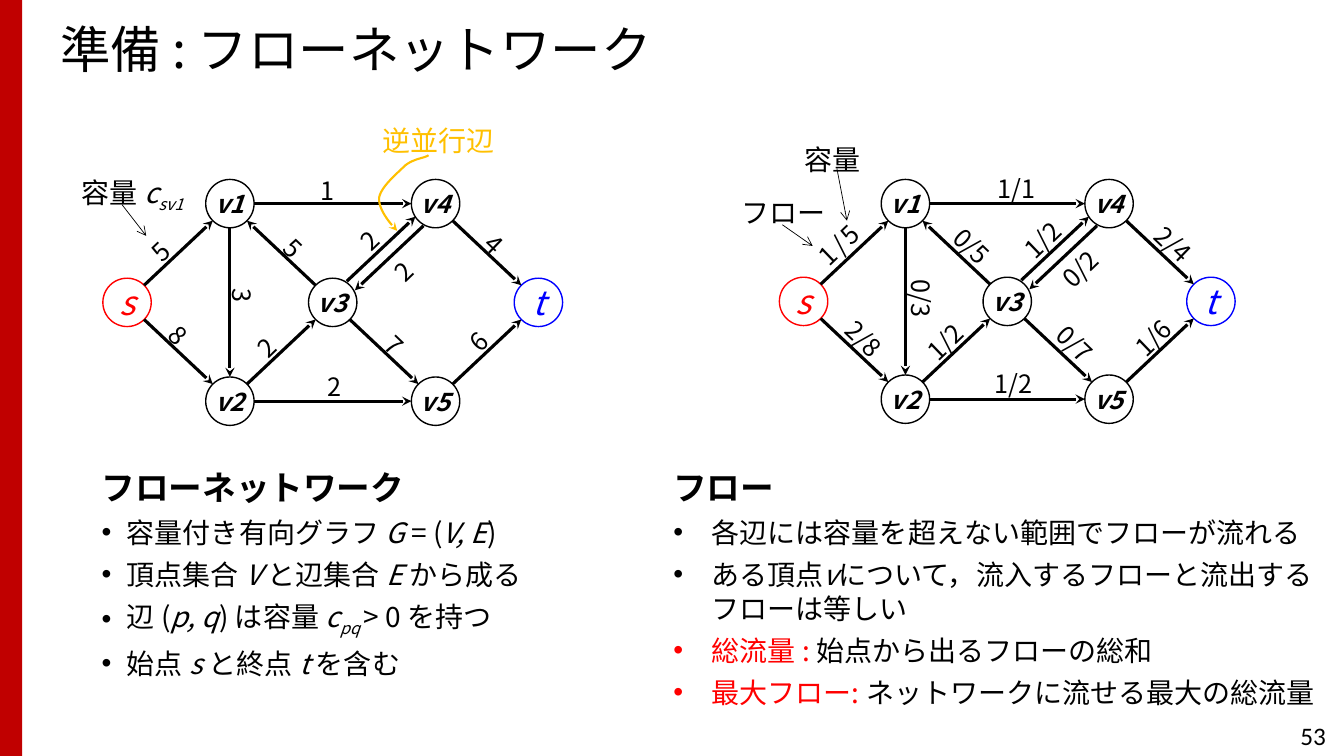
"""Build a slide that introduces flow networks with two example graphs."""
from math import atan, degrees, hypot

from lxml.etree import SubElement
from pptx import Presentation
from pptx.dml.color import RGBColor
from pptx.enum.shapes import MSO_CONNECTOR as Link, MSO_SHAPE as Shape
from pptx.enum.text import MSO_ANCHOR as Anchor, MSO_AUTO_SIZE as AutoSize, PP_ALIGN as Align
from pptx.oxml.ns import qn
from pptx.util import Pt

PX = 9144
FONT = "Noto Sans CJK JP"
BLACK = RGBColor(0, 0, 0)
RED = RGBColor(255, 0, 0)
BLUE = RGBColor(0, 0, 255)
GOLD = RGBColor(255, 192, 0)
CRIMSON = RGBColor(192, 0, 0)

RADIUS = 24
GRID = {"s": (0, 1), "v1": (1, 0), "v2": (1, 2), "v3": (2, 1),
        "v4": (3, 0), "v5": (3, 2), "t": (4, 1)}
TERMINALS = {"s": RED, "t": BLUE}
ANTIPARALLEL = {("v3", "v4"): (-3, -4), ("v4", "v3"): (5, 5)}
ITALIC = {"italic": True}
SUBSCRIPT = {"italic": True, "baseline": -25000}
SMALL = {"size": 11}
HIGHLIGHT = {"color": RED}

CAPACITY_EDGES = [
    ("s", "v1", "5", 159, 249), ("s", "v2", "8", 177, 332),
    ("v1", "v2", "3", 241, 293), ("v2", "v3", "2", 264, 345),
    ("v1", "v4", "1", 325, 189), ("v3", "v4", "2", 367, 238),
    ("v4", "t", "4", 490, 242), ("v5", "t", "6", 475, 339),
    ("v3", "v5", "7", 391, 342), ("v2", "v5", "2", 332, 383),
    ("v3", "v1", "5", 291, 246), ("v4", "v3", "2", 400, 269)]
FLOW_EDGES = [
    ("s", "v1", "1 / 5", 832, 243), ("s", "v2", "2/8", 857, 336),
    ("v1", "v2", "0/3", 914, 296), ("v2", "v3", "1/2", 937, 339),
    ("v1", "v4", "1/1", 1008, 187), ("v3", "v4", "1/2", 1034, 238),
    ("v4", "t", "2/4", 1164, 242), ("v5", "t", "1/6", 1144, 335),
    ("v3", "v5", "0/7", 1066, 341), ("v2", "v5", "1/2", 1005, 380),
    ("v3", "v1", "0/5", 964, 244), ("v4", "v3", "0/2", 1071, 267)]

NETWORK_POINTS = [
    [("容量付き有向グラフ ", {}), ("G", ITALIC), (" = (", {}), ("V, E", ITALIC), (")", {})],
    [("頂点集合 ", {}), ("V ", ITALIC), ("と辺集合 ", {}), ("E ", ITALIC), ("から成る", {})],
    [("辺 (", {}), ("p, q", ITALIC), (") は容量 ", {}), ("c", ITALIC),
     ("pq ", SUBSCRIPT), ("> 0 を持つ", {})],
    [("始点 ", {}), ("s ", ITALIC), ("と終点 ", {}), ("t ", ITALIC), ("を含む", {})]]
FLOW_POINTS = [
    [("各辺には容量を超えない範囲でフローが流れる", {})],
    [("ある頂点", {}), ("v", ITALIC), ("について，流入するフローと流出するフローは等しい", {})],
    [("総流量 : ", HIGHLIGHT), ("始点から出るフローの総和", {})],
    [("最大フロー: ", HIGHLIGHT), ("ネットワークに流せる最大の総流量", {})]]


def px(*lengths):
    """Turn px lengths into EMU."""
    return [round(length * PX) for length in lengths]


def add_run(paragraph, text, size, color=BLACK, bold=False, italic=False, baseline=0, face=FONT):
    """Append one formatted run."""
    run = paragraph.add_run()
    run.text = text
    font = run.font
    font.size, font.bold, font.italic, font.name = Pt(size), bold, italic, face
    font.color.rgb = color
    properties = font._element
    SubElement(properties, qn("a:ea"), typeface=face)
    if baseline:
        properties.set("baseline", str(baseline))


def clear_margins(frame):
    """Remove the inner margins of a text frame."""
    frame.margin_left = frame.margin_right = frame.margin_top = frame.margin_bottom = 0


def add_label(slide, runs, left, top, width, height, size, color=BLACK, align=Align.LEFT, angle=0):
    """Add one unwrapped line of text."""
    label = slide.shapes.add_textbox(*px(left, top, width, height))
    label.rotation = angle
    frame = label.text_frame
    frame.word_wrap = False
    clear_margins(frame)
    frame.paragraphs[0].alignment = align
    for text, style in runs:
        add_run(frame.paragraphs[0], text, **{"size": size, "color": color, **style})


def style_arrow(arrow, color, width, head):
    """Give a line its colour, width and end arrowhead."""
    arrow.line.color.rgb = color
    arrow.line.width = Pt(width)
    SubElement(arrow.line._get_or_add_ln(), qn("a:tailEnd"), type=head)


def add_arrow(slide, start, end, width, head):
    """Add a straight black arrow."""
    arrow = slide.shapes.add_connector(Link.STRAIGHT, *px(*start, *end))
    style_arrow(arrow, BLACK, width, head)
    SubElement(arrow._element.spPr, qn("a:effectLst"))


def add_curve_arrow(slide, start, beziers, color):
    """Add an arrow along a chain of cubic curves."""
    points = [start]
    for first, second, end in beziers:
        origin = points[-1]
        for step in range(1, 13):
            t = step / 12
            weights = ((1 - t) ** 3, 3 * t * (1 - t) ** 2, 3 * t * t * (1 - t), t ** 3)
            points.append(tuple(sum(weight * point[axis] for weight, point
                                    in zip(weights, (origin, first, second, end)))
                                for axis in (0, 1)))
    builder = slide.shapes.build_freeform(*px(*start))
    builder.add_line_segments([px(*point) for point in points[1:]], close=False)
    curve = builder.convert_to_shape()
    curve.fill.background()
    curve.shadow.inherit = False
    style_arrow(curve, color, 1.5, "stealth")


def add_vertex(slide, name, x, y):
    """Add a circled vertex name around a centre."""
    color = TERMINALS.get(name, BLACK)
    inner = name not in TERMINALS
    vertex = slide.shapes.add_shape(
        Shape.OVAL, *px(x - RADIUS, y - RADIUS, 2 * RADIUS, 2 * RADIUS))
    vertex.shadow.inherit = False
    vertex.fill.background()
    vertex.line.color.rgb = color
    vertex.line.width = Pt(1)
    frame = vertex.text_frame
    frame.word_wrap = False
    frame.vertical_anchor = Anchor.MIDDLE
    clear_margins(frame)
    frame.paragraphs[0].alignment = Align.CENTER
    add_run(frame.paragraphs[0], name, 18 if inner else 24, color, bold=inner, italic=True)


def add_edge(slide, start, end, shift):
    """Add an arrow between the rims of two vertices."""
    dx, dy = end[0] - start[0], end[1] - start[1]
    signs = [(delta > 0) - (delta < 0) for delta in (dx, dy)]
    rim = [RADIUS * sign / hypot(*signs) for sign in signs]
    add_arrow(slide, [c + r + s for c, r, s in zip(start, rim, shift)],
              [c - r + s for c, r, s in zip(end, rim, shift)], 2.25, "stealth")
    return degrees(atan(dy / dx)) if dx else 90


def add_graph(slide, left, top, column_step, row_step, edges):
    """Add vertices, edges and edge labels of one graph."""
    centres = {name: (left + column * column_step, top + row * row_step)
               for name, (column, row) in GRID.items()}
    for name, centre in centres.items():
        add_vertex(slide, name, *centre)
    for tail, head, value, x, y in edges:
        angle = add_edge(slide, centres[tail], centres[head],
                         ANTIPARALLEL.get((tail, head), (0, 0)))
        runs = [(part, SMALL if part == " " else {}) for part in value] if " " in value else [(value, {})]
        width = 14 * len(value) + 2
        add_label(slide, runs, x - width / 2, y - 15, width, 30, 18, align=Align.CENTER, angle=angle)


def add_explanation(slide, heading, points, left, width, height, indent):
    """Add a bold heading with bullet points."""
    frame = slide.shapes.add_textbox(*px(left, 458, width, height)).text_frame
    frame.word_wrap = True
    add_run(frame.paragraphs[0], heading, 24, bold=True)
    for runs in points:
        point = frame.add_paragraph()
        properties = point._p.get_or_add_pPr()
        properties.set("marL", str(indent * PX))
        properties.set("indent", str(-indent * PX))
        point.space_before = Pt(6)
        SubElement(properties, qn("a:buFont"), typeface="Arial")
        SubElement(properties, qn("a:buChar"), char="•")
        for text, style in runs:
            add_run(point, text, 20, **style)


def add_frame(slide):
    """Add the side bar, title and page number."""
    bar = slide.shapes.add_shape(Shape.RECTANGLE, *px(0, 0, 22, 750))
    bar.shadow.inherit = False
    bar.fill.solid()
    bar.fill.fore_color.rgb = CRIMSON
    bar.line.fill.background()
    title = slide.shapes.title
    title.left, title.top, title.width, title.height = px(50, 12, 1255, 80)
    frame = title.text_frame
    frame.auto_size = AutoSize.NONE
    frame.vertical_anchor = Anchor.MIDDLE
    frame.paragraphs[0].alignment = Align.LEFT
    frame.paragraphs[0].line_spacing = 0.9
    add_run(frame.paragraphs[0], "準備 : フローネットワーク", 36)
    page = slide.shapes.add_textbox(*px(1025, 710, 300, 40)).text_frame.paragraphs[0]
    page.alignment = Align.RIGHT
    add_run(page, "53", 18, face="Calibri")


def main():
    """Build and save the slide."""
    deck = Presentation()
    deck.slide_width, deck.slide_height = px(1333, 750)
    slide = deck.slides.add_slide(deck.slide_layouts[5])
    add_frame(slide)
    add_graph(slide, 126, 202, 102, 98, CAPACITY_EDGES)
    add_graph(slide, 797, 202, 101, 97, FLOW_EDGES)
    add_label(slide, [("逆並行辺", {})], 379, 123, 112, 34, 20, GOLD)
    add_label(slide, [("容量 ", {}), ("c", ITALIC), ("sv1", SUBSCRIPT)], 81, 174, 111, 34, 20)
    add_label(slide, [("容量", {})], 798, 141, 56, 34, 20)
    add_label(slide, [("フロー", {})], 735, 194, 84, 34, 20)
    for start, end in [((121, 203), (145, 234)), ((830, 167), (840, 219)), ((776, 223), (806, 244))]:
        add_arrow(slide, start, end, 0.5, "arrow")
    add_curve_arrow(slide, (425, 154), [((421, 157), (411, 157), (402, 164)),
                                        ((394, 172), (378, 185), (376, 196)),
                                        ((375, 207), (386, 221), (394, 229))], GOLD)
    add_explanation(slide, "フローネットワーク", NETWORK_POINTS, 91, 590, 239, 25)
    add_explanation(slide, "フロー", FLOW_POINTS, 658, 675, 292, 38)
    deck.save("out.pptx")


if __name__ == "__main__":
    main()
